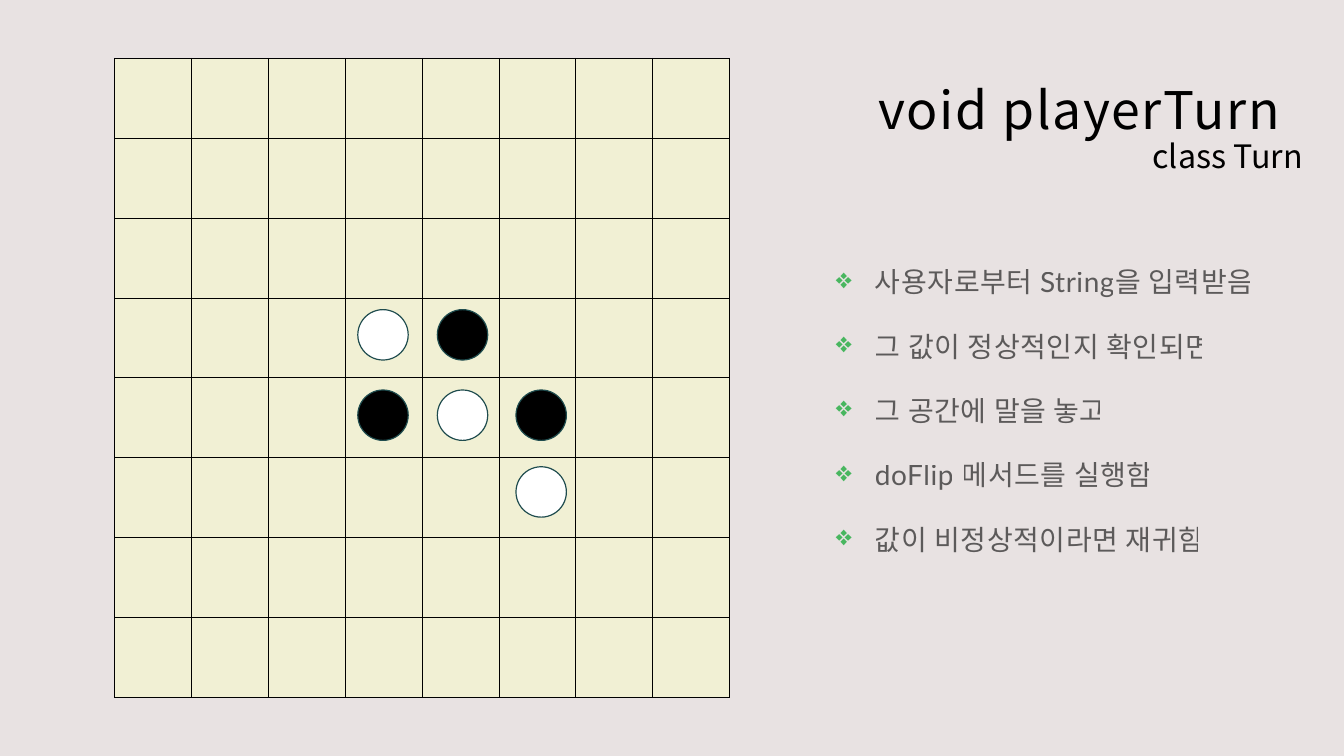
from lxml import etree
from pptx import Presentation
from pptx import util as u
from pptx.dml.color import RGBColor
from pptx.enum import shapes, text
from pptx.oxml.ns import qn

COLORS = {
    "background": "E8E2E2",
    "square": "F1F0D4",
    "black": "000000",
    "white": "FFFFFF",
    "rim": "1F4C4E",
    "bullet": "48B65F",
}
HEADING_FONT = "Noto Sans CJK KR"
BODY_FONT = "Lato"
SQUARES = 8
BOARD = (82.1, 41.8, 439.2, 456.4)
DISC_SIZE = 36
DISC_LEFTS = {"d": 255.6, "e": 312.4, "f": 368.6}
DISC_TOPS = {4: 221.2, 5: 278.6, 6: 333.4}
DISCS = [
    ("d", 4, "white"), ("e", 4, "black"),
    ("d", 5, "black"), ("e", 5, "white"), ("f", 5, "black"),
    ("f", 6, "white"),
]
STEPS = [
    "사용자로부터 String을 입력받음",
    "그 값이 정상적인지 확인되면",
    "그 공간에 말을 놓고",
    "doFlip 메서드를 실행함",
    "값이 비정상적이라면 재귀함",
]


def points(*lengths):
    return [u.Pt(length) for length in lengths]


def paint(fill, color):
    fill.solid()
    fill.fore_color.rgb = RGBColor.from_string(COLORS[color])


def add_run(paragraph, words, font, size, spacing=0):
    run = paragraph.add_run()
    run.text = words
    run.font.name = font
    run.font.size = u.Pt(size)
    paint(run.font.fill, "black")
    properties = run.font._element
    properties.set("spc", str(round(spacing * 100)))
    east_asian = etree.SubElement(properties, qn("a:ea"))
    east_asian.set("typeface", HEADING_FONT)
    return run


def add_borders(cell):
    properties = cell._tc.get_or_add_tcPr()
    for position, side in enumerate(("lnL", "lnR", "lnT", "lnB")):
        border = etree.Element(qn(f"a:{side}"), w=str(u.Pt(0.91)))
        fill = etree.SubElement(border, qn("a:solidFill"))
        etree.SubElement(fill, qn("a:srgbClr"), val=COLORS["black"])
        properties.insert(position, border)


def add_board(slide):
    board = slide.shapes.add_table(SQUARES, SQUARES, *points(*BOARD)).table
    board.first_row = False
    board.horz_banding = False
    for column in board.columns:
        column.width = u.Pt(BOARD[2] / SQUARES)
    for row in board.rows:
        row.height = u.Pt(BOARD[3] / SQUARES)
    for square in board.iter_cells():
        paint(square.fill, "square")
        add_borders(square)


def add_disc(slide, file, rank, color):
    disc = slide.shapes.add_shape(
        shapes.MSO_SHAPE.OVAL,
        *points(DISC_LEFTS[file], DISC_TOPS[rank], DISC_SIZE, DISC_SIZE))
    disc.shadow.inherit = False
    paint(disc.fill, color)
    paint(disc.line.fill, "rim")
    disc.line.width = u.Pt(0.85)


def set_heading(slide):
    heading = slide.shapes.title
    heading.left, heading.top, heading.width, heading.height = points(
        604, 13, 334, 116)
    frame = heading.text_frame
    frame.word_wrap = True
    frame.auto_size = text.MSO_AUTO_SIZE.NONE
    frame.vertical_anchor = text.MSO_ANCHOR.BOTTOM
    method = frame.paragraphs[0]
    method.alignment = text.PP_ALIGN.CENTER
    add_run(method, "void playerTurn", HEADING_FONT, 37, 1.2)
    owner = frame.add_paragraph()
    owner.alignment = text.PP_ALIGN.RIGHT
    add_run(owner, "class Turn", HEADING_FONT, 23)
    for line in frame.paragraphs:
        line.line_spacing = 0.9
        line.space_before = u.Pt(0)


def add_bullet(paragraph):
    properties = paragraph._p.get_or_add_pPr()
    properties.set("marL", str(u.Pt(28)))
    properties.set("indent", str(u.Pt(-28)))
    color = etree.SubElement(properties, qn("a:buClr"))
    etree.SubElement(color, qn("a:srgbClr"), val=COLORS["bullet"])
    etree.SubElement(properties, qn("a:buChar"), char="❖")


def add_steps(slide):
    frame = slide.shapes.add_textbox(*points(588, 168, 357, 330)).text_frame
    frame.word_wrap = True
    frame.margin_left, frame.margin_top, frame.margin_right = points(9, 9, 9)
    frame.margin_bottom = u.Pt(7.2)
    for number, words in enumerate(STEPS):
        step = frame.add_paragraph() if number else frame.paragraphs[0]
        step.line_spacing = 1.5
        step.space_before = u.Pt(10)
        add_bullet(step)
        run = add_run(step, words, BODY_FONT, 20, 0.4)
        color = run.font._element.find(f".//{qn('a:srgbClr')}")
        etree.SubElement(color, qn("a:alpha"), val="60000")


def main():
    deck = Presentation()
    deck.slide_width, deck.slide_height = points(960, 540)
    slide = deck.slides.add_slide(deck.slide_layouts[5])
    paint(slide.background.fill, "background")
    add_board(slide)
    set_heading(slide)
    add_steps(slide)
    for file, rank, color in DISCS:
        add_disc(slide, file, rank, color)
    deck.save("out.pptx")


if __name__ == "__main__":
    main()
